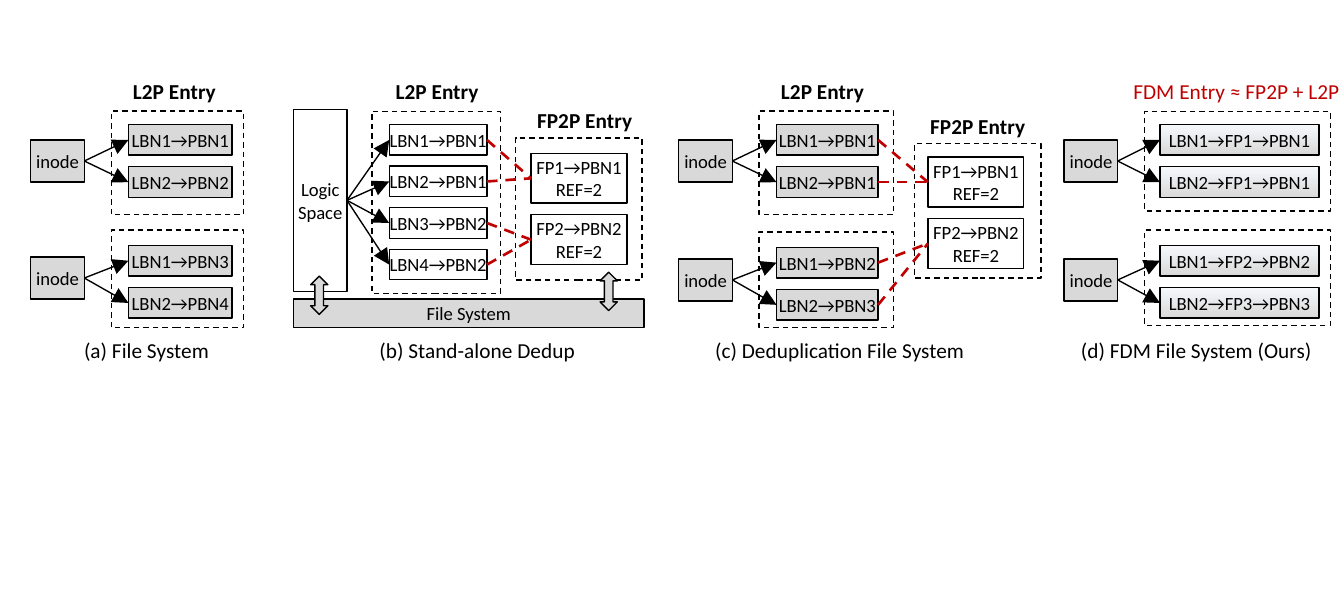
from lxml import etree
from pptx import Presentation
from pptx.dml.color import RGBColor
from pptx.enum.dml import MSO_LINE
from pptx.enum.shapes import MSO_CONNECTOR, MSO_SHAPE
from pptx.enum.text import MSO_ANCHOR, PP_ALIGN
from pptx.oxml.ns import qn
from pptx.util import Inches, Pt

BLACK, WHITE, GRAY, RED = "000000", "FFFFFF", "D9D9D9", "C00000"
SHADED = ("F6F8FC", GRAY)  # top and bottom of a gradient
LEFT_SITE, RIGHT_SITE = 1, 3  # connection sites of a rectangle
ENTRY_HEIGHT = 0.16
FP_SIZE = (0.5, 0.26)
FP_PITCH = 0.32
ENTRIES_PER_FP = 2


def inode(left, top):
    return ("inode", (left, top, 0.28, 0.22), GRAY)


# Group: source box, dashed frame, first entry (left, top, width), pitch, fill, entries
PANELS = [
    {"groups": [
        (inode(0.16, 0.73), (0.58, 0.58, 0.69, 0.54), (0.67, 0.65, 0.54), 0.22, GRAY,
         ["LBN1→PBN1", "LBN2→PBN2"]),
        (inode(0.16, 1.34), (0.58, 1.2, 0.69, 0.51), (0.67, 1.28, 0.54), 0.22, GRAY,
         ["LBN1→PBN3", "LBN2→PBN4"])]},
    {"groups": [
        (("Logic\nSpace", (1.53, 0.57, 0.28, 0.95), WHITE),
         (1.94, 0.58, 0.67, 0.95), (2.03, 0.65, 0.51), 0.65 / 3, WHITE,
         ["LBN1→PBN1", "LBN2→PBN1", "LBN3→PBN2", "LBN4→PBN2"])],
     "fp_frame": (2.69, 0.72, 0.66, 0.74), "fp_start": (2.77, 0.8)},
    {"groups": [
        (inode(3.54, 0.73), (3.96, 0.58, 0.7, 0.54), (4.05, 0.65, 0.53), 0.22, GRAY,
         ["LBN1→PBN1", "LBN2→PBN1"]),
        (inode(3.54, 1.35), (3.96, 1.21, 0.7, 0.5), (4.05, 1.29, 0.53), 0.22, GRAY,
         ["LBN1→PBN2", "LBN2→PBN3"])],
     "fp_frame": (4.77, 0.75, 0.66, 0.7), "fp_start": (4.84, 0.82)},
    {"groups": [
        (inode(5.55, 0.73), (5.97, 0.58, 0.97, 0.52), (6.05, 0.65, 0.83), 0.22, SHADED,
         ["LBN1→FP1→PBN1", "LBN2→FP1→PBN1"]),
        (inode(5.55, 1.35), (5.97, 1.2, 0.97, 0.5), (6.05, 1.28, 0.83), 0.22, SHADED,
         ["LBN1→FP2→PBN2", "LBN2→FP3→PBN3"])]},
]
FP_ENTRIES = ["FP1→PBN1\nREF=2", "FP2→PBN2\nREF=2"]

FILE_SYSTEM = ("File System", (1.53, 1.56, 1.83, 0.15), GRAY)
EXCHANGE_ARROWS = [(1.62, 1.44, 0.09, 0.2), (3.13, 1.42, 0.09, 0.2)]

HEADING = {"size": Pt(8), "bold": True}
PLAIN = {"size": Pt(8)}
LABELS = [
    ("L2P Entry", (0.61, 0.4, 0.6, 0.15), HEADING, BLACK),
    ("L2P Entry", (1.98, 0.4, 0.6, 0.15), HEADING, BLACK),
    ("FP2P Entry", (2.75, 0.55, 0.6, 0.15), HEADING, BLACK),
    ("L2P Entry", (3.99, 0.4, 0.6, 0.15), HEADING, BLACK),
    ("FP2P Entry", (4.8, 0.58, 0.6, 0.15), HEADING, BLACK),
    ("FDM Entry ≈ FP2P + L2P", (5.88, 0.4, 1.14, 0.15), PLAIN, RED),
    ("(a) File System", (0.4, 1.76, 0.73, 0.13), PLAIN, BLACK),
    ("(b) Stand-alone Dedup", (1.66, 1.76, 1.66, 0.13), PLAIN, BLACK),
    ("(c) Deduplication File System", (3.69, 1.76, 1.38, 0.13), PLAIN, BLACK),
    ("(d) FDM File System (Ours)", (5.55, 1.76, 1.38, 0.13), PLAIN, BLACK),
]


def rgb(color):
    return RGBColor.from_string(color)


def write(shape, text, wrap, font, color):
    frame = shape.text_frame
    frame.text = text
    layout = {"word_wrap": wrap, "vertical_anchor": MSO_ANCHOR.MIDDLE,
              "margin_left": 0, "margin_right": 0, "margin_top": 0, "margin_bottom": 0}
    for name, value in layout.items():
        setattr(frame, name, value)
    for para in frame.paragraphs:
        para.alignment = PP_ALIGN.CENTER
        for name, value in {"name": "Calibri", **font}.items():
            setattr(para.font, name, value)
        para.font.color.rgb = rgb(color)


def paint(fill, color):
    """Fill with one colour, or with a vertical gradient for a pair of colours."""
    if isinstance(color, str):
        fill.solid()
        fill.fore_color.rgb = rgb(color)
        return
    fill.gradient()
    fill.gradient_angle = 270
    for stop, stop_color in zip(fill.gradient_stops, color):
        stop.color.rgb = rgb(stop_color)


def draw_line(line, color, width, dashed):
    line.color.rgb = rgb(color)
    line.width = Pt(width)
    if dashed:
        line.dash_style = MSO_LINE.DASH


def add_box(page, text, place, color, kind=MSO_SHAPE.RECTANGLE, dashed=False):
    box = page.shapes.add_shape(kind, *map(Inches, place))
    box.shadow.inherit = False
    paint(box.fill, color)
    draw_line(box.line, BLACK, 0.5, dashed)
    if text:
        write(box, text, False, {"size": Pt(7)}, BLACK)
    return box


def connect(page, start, end, color=BLACK, width=0.5, dashed=False, arrow=True):
    """Join the right side of one box to the left side of another."""
    link = page.shapes.add_connector(MSO_CONNECTOR.STRAIGHT, 0, 0, 0, 0)
    link.begin_connect(start, RIGHT_SITE)
    link.end_connect(end, LEFT_SITE)
    draw_line(link.line, color, width, dashed)
    if arrow:
        etree.SubElement(link.line._get_or_add_ln(), qn("a:tailEnd"), type="triangle")
    etree.SubElement(link._element.spPr, qn("a:effectLst"))


def add_group(page, source, frame, first, pitch, color, entries):
    """Draw a source box with its framed entries and return the entry boxes."""
    add_box(page, "", frame, WHITE, dashed=True)
    source_box = add_box(page, *source)
    left, top, width = first
    boxes = []
    for row, entry in enumerate(entries):
        place = (left, top + row * pitch, width, ENTRY_HEIGHT)
        boxes.append(add_box(page, entry, place, color))
        connect(page, source_box, boxes[-1])
    return boxes


def add_panel(page, groups, fp_frame=None, fp_start=None):
    if fp_frame:
        add_box(page, "", fp_frame, WHITE, dashed=True)
    entries = [box for group in groups for box in add_group(page, *group)]
    if not fp_frame:
        return
    left, top = fp_start
    fp_boxes = [add_box(page, text, (left, top + row * FP_PITCH, *FP_SIZE), WHITE)
                for row, text in enumerate(FP_ENTRIES)]
    for index, entry in enumerate(entries):
        connect(page, entry, fp_boxes[index // ENTRIES_PER_FP], RED, 1,
                dashed=True, arrow=False)


def main():
    deck = Presentation()
    deck.slide_width, deck.slide_height = Inches(7.01), Inches(3.15)
    page = deck.slides.add_slide(deck.slide_layouts[6])
    for panel in PANELS:
        add_panel(page, **panel)
    add_box(page, *FILE_SYSTEM)
    for place in EXCHANGE_ARROWS:
        add_box(page, "", place, GRAY, MSO_SHAPE.UP_DOWN_ARROW)
    for text, place, font, color in LABELS:
        label = page.shapes.add_textbox(*map(Inches, place))
        write(label, text, True, font, color)
    deck.save("out.pptx")


if __name__ == "__main__":
    main()
